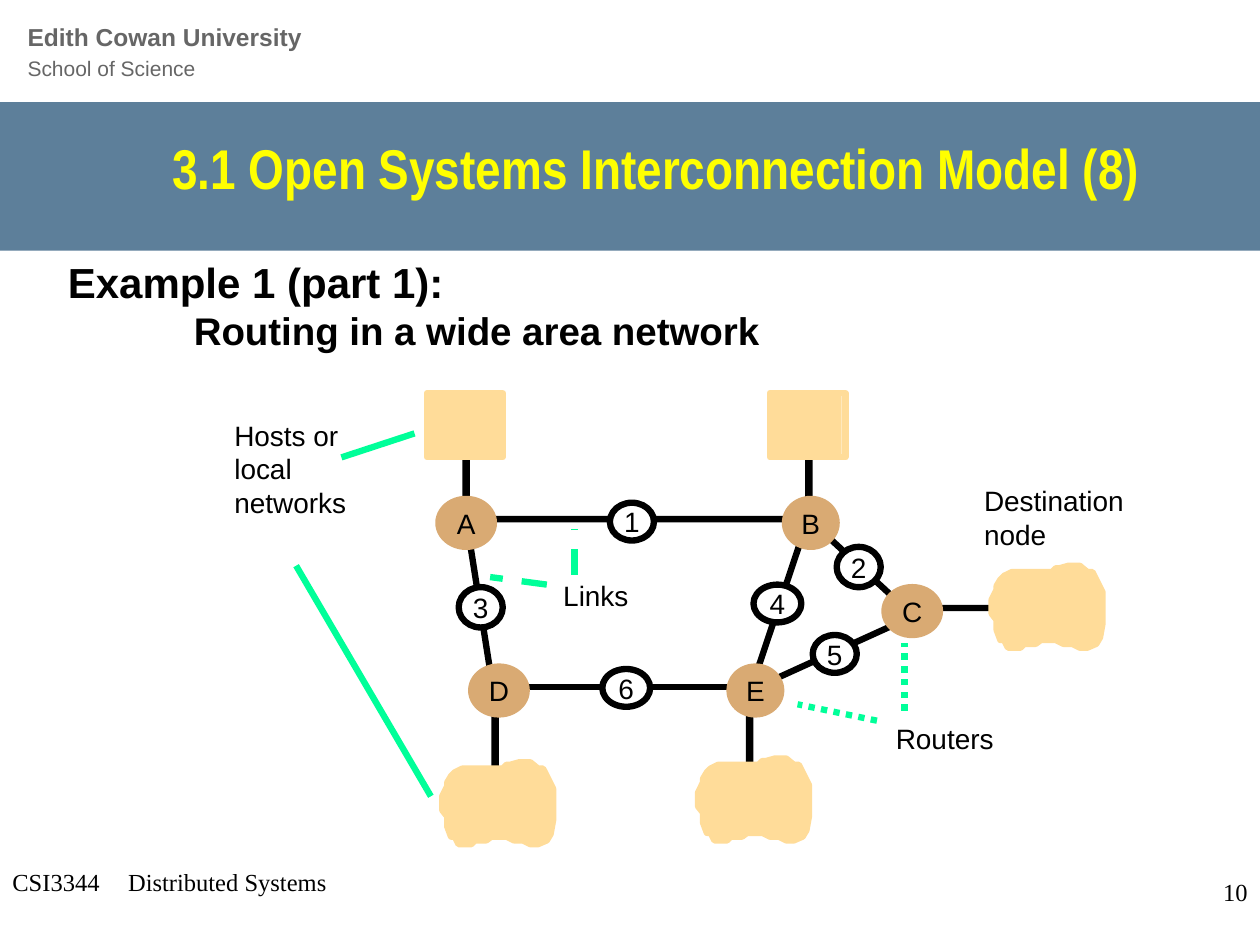
from lxml.etree import SubElement
from pptx import Presentation
from pptx.dml.color import RGBColor
from pptx.enum.dml import MSO_LINE
from pptx.enum.shapes import MSO_CONNECTOR, MSO_SHAPE
from pptx.enum.text import MSO_ANCHOR, PP_ALIGN
from pptx.oxml.ns import qn
from pptx.util import Inches, Pt

BLACK = RGBColor(0x00, 0x00, 0x00)
WHITE = RGBColor(0xFF, 0xFF, 0xFF)
GREY = RGBColor(0x66, 0x66, 0x66)
YELLOW = RGBColor(0xFF, 0xFF, 0x00)
BAND_BLUE = RGBColor(0x5D, 0x7F, 0x9A)
GREEN = RGBColor(0x00, 0xFF, 0x99)
TAN = RGBColor(0xD9, 0xAA, 0x73)
CREAM = RGBColor(0xFF, 0xDC, 0x99)
STROKE = Pt(3.63)

# Straight links between routers: from x, y, to x, y
LINKS = [
    (3.92, 5.51, 3.7, 4.12),
    (3.9, 5.45, 5.98, 5.45),
    (6.42, 4.1, 5.95, 5.5),
    (5.95, 5.48, 7.27, 4.88),
]
A_B_C_LINK = [(3.67, 4.12), (6.42, 4.12), (7.24, 4.88)]

# Bars joining routers to hosts and networks: left, top, width, height
SPOKES = [
    (3.9, 5.48, 0.06, 0.84),
    (5.92, 5.45, 0.06, 0.79),
    (3.67, 3.55, 0.06, 0.49),
    (6.39, 3.44, 0.06, 0.62),
    (7.24, 4.8, 0.69, 0.05),
]

# Pointers from labels, by dash style
POINTERS = [
    (None, (2.71, 3.63, 3.29, 3.44)),
    (None, (2.35, 4.49, 3.42, 6.32)),
    (MSO_LINE.ROUND_DOT, (6.96, 5.72, 6.33, 5.59)),
    (MSO_LINE.ROUND_DOT, (7.18, 5.64, 7.18, 5.1)),
    (MSO_LINE.DASH, (4.34, 4.64, 3.89, 4.58)),
    (MSO_LINE.DASH, (4.56, 4.56, 4.56, 4.2)),
]

ROUTERS = {
    "A": (3.48, 3.96, 0.44, 0.38),
    "B": (6.23, 3.96, 0.41, 0.38),
    "C": (7.02, 4.66, 0.44, 0.38),
    "D": (3.74, 5.29, 0.44, 0.38),
    "E": (5.79, 5.29, 0.41, 0.38),
}
LINK_NUMBERS = {
    "1": (4.84, 3.99, 0.35, 0.3),
    "2": (6.64, 4.34, 0.35, 0.32),
    "3": (3.64, 4.66, 0.35, 0.32),
    "4": (5.98, 4.64, 0.38, 0.3),
    "5": (6.45, 5.04, 0.35, 0.3),
    "6": (4.78, 5.31, 0.38, 0.3),
}
HOSTS = [(3.39, 3.12), (6.11, 3.12)]
NETWORKS = [(3.51, 6.05), (7.87, 4.49), (5.54, 6.02)]
CLOUD = [
    (0.04, 0.16), (0.07, 0.11), (0.1, 0.08), (0.16, 0.05), (0.48, 0.05),
    (0.51, 0.02), (0.54, 0.02), (0.61, 0), (0.7, 0), (0.76, 0.05),
    (0.8, 0.05), (0.83, 0.11), (0.88, 0.21), (0.88, 0.46), (0.86, 0.57),
    (0.83, 0.62), (0.76, 0.65), (0.7, 0.65), (0.64, 0.62), (0.57, 0.62),
    (0.51, 0.59), (0.39, 0.59), (0.35, 0.62), (0.26, 0.62), (0.23, 0.65),
    (0.13, 0.65), (0.1, 0.59), (0.07, 0.59), (0.04, 0.51), (0.04, 0.43),
    (0, 0.38), (0, 0.27), (0.04, 0.19),
]
LABELS = [
    ("Hosts or\nlocal\nnetworks", (1.86, 3.32, 0.89, 0.8)),
    ("Links", (4.47, 4.59, 0.52, 0.27)),
    ("Routers", (7.11, 5.73, 0.78, 0.27)),
    ("Destination\nnode", (7.81, 3.84, 1.29, 0.53)),
]
FOOTER = [
    ("CSI3344", (0, 6.83, 2.08, 0.5), PP_ALIGN.LEFT, MSO_ANCHOR.TOP),
    ("Distributed Systems", (0.22, 6.68, 3.17, 0.63), PP_ALIGN.CENTER, MSO_ANCHOR.MIDDLE),
    ("10", (7.92, 6.83, 2.08, 0.5), PP_ALIGN.RIGHT, MSO_ANCHOR.MIDDLE),
]

prs = Presentation()
prs.slide_width, prs.slide_height = Inches(10), Inches(7.5)
shapes = prs.slides.add_slide(prs.slide_layouts[6]).shapes


def paint(shape, fill=None, line=None):
    shape.shadow.inherit = False
    if fill is None:
        shape.fill.background()
    else:
        shape.fill.solid()
        shape.fill.fore_color.rgb = fill
    if line is None:
        shape.line.fill.background()
    else:
        shape.line.color.rgb = line
        shape.line.width = STROKE


def add_preset(kind, box, fill=None, line=None):
    shape = shapes.add_shape(kind, *map(Inches, box))
    paint(shape, fill, line)
    return shape


def add_outline(points, closed, fill, line):
    corners = [(Inches(x), Inches(y)) for x, y in points]
    builder = shapes.build_freeform(*corners[0])
    builder.add_line_segments(corners[1:], close=closed)
    paint(builder.convert_to_shape(), fill, line)


def add_line(ends, color, dash=None):
    line = shapes.add_connector(MSO_CONNECTOR.STRAIGHT, *map(Inches, ends))
    line.line.color.rgb = color
    line.line.width = STROKE
    if dash is not None:
        line.line.dash_style = dash
    SubElement(line._element.spPr, qn("a:effectLst"))


def style(run, size, color=BLACK, bold=False, font="Arial"):
    run.font.name, run.font.size, run.font.bold = font, Pt(size), bold
    run.font.color.rgb = color


def write(shape, text, size, align=PP_ALIGN.LEFT, anchor=MSO_ANCHOR.TOP,
          inset=None, wrap=True, **look):
    frame = shape.text_frame
    frame.text = text
    frame.word_wrap = wrap
    frame.vertical_anchor = anchor
    if inset is not None:
        frame.margin_left = frame.margin_right = Inches(inset)
        frame.margin_top = frame.margin_bottom = Inches(inset)
    for paragraph in frame.paragraphs:
        paragraph.alignment = align
        for run in paragraph.runs:
            style(run, size, **look)
    return frame


def add_text(box, text, size, **options):
    return write(shapes.add_textbox(*map(Inches, box)), text, size, **options)


# Header, title and footer
add_preset(MSO_SHAPE.RECTANGLE, (0, 0.81, 10.04, 1.18), BAND_BLUE)
header = add_text((0.12, 0.13, 5.89, 0.57), "Edith Cowan University\vSchool of Science",
                  14, color=GREY, bold=True).paragraphs[0]
header.line_spacing = Pt(16.7)
style(header.runs[1], 12, GREY)
add_text((0.4, 1, 8.75, 0.66), "3.1 Open Systems Interconnection Model (8)", 32,
         align=PP_ALIGN.RIGHT, anchor=MSO_ANCHOR.MIDDLE,
         color=YELLOW, bold=True, font="Arial Narrow")
for text, box, align, anchor in FOOTER:
    add_text(box, text, 14, align=align, anchor=anchor, font="Times New Roman")

# Network diagram, from back to front
for ends in LINKS:
    add_line(ends, BLACK)
add_outline(A_B_C_LINK, False, None, BLACK)
for box in SPOKES:
    add_preset(MSO_SHAPE.RECTANGLE, box, BLACK)
for dash, ends in POINTERS:
    add_line(ends, GREEN, dash)
for x, y in HOSTS:
    add_preset(MSO_SHAPE.RECTANGLE, (x, y, 0.57, 0.49), CREAM)
    add_preset(MSO_SHAPE.RECTANGLE, (x, y, 0.6, 0.51), line=CREAM)
for x, y in NETWORKS:
    add_outline([(x + dx, y + dy) for dx, dy in CLOUD], True, CREAM, CREAM)
for nodes, fill, line in [(ROUTERS, TAN, TAN), (LINK_NUMBERS, WHITE, BLACK)]:
    for name, box in nodes.items():
        write(add_preset(MSO_SHAPE.OVAL, box, fill, line), name, 16,
              align=PP_ALIGN.CENTER, anchor=MSO_ANCHOR.MIDDLE, inset=0, wrap=False)
for text, box in LABELS:
    add_text(box, text, 16, inset=0, wrap=False)

example = add_text((0.44, 1.99, 6, 0.9), "Example 1 (part 1):\nRouting in a wide area network",
                   24, bold=True)
subtitle = example.paragraphs[1]
subtitle._p.get_or_add_pPr().set("marL", str(Inches(1)))
style(subtitle.runs[0], 22, bold=True)

prs.save("out.pptx")
